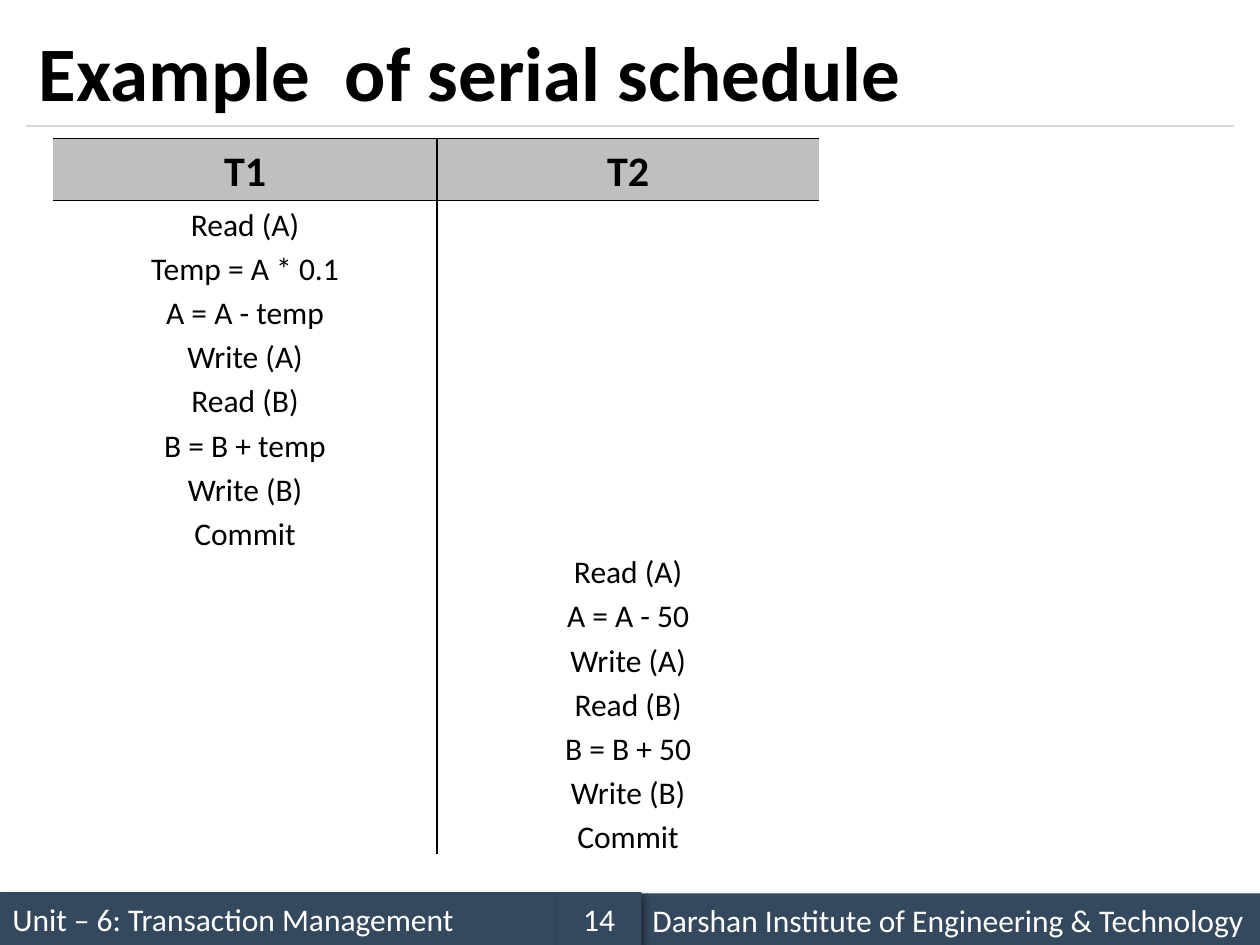
from pptx import Presentation
from pptx.util import Inches, Pt
from pptx.dml.color import RGBColor
from pptx.enum.shapes import MSO_CONNECTOR, MSO_SHAPE
from pptx.enum.text import MSO_ANCHOR, PP_ALIGN
from pptx.oxml import parse_xml
from pptx.oxml.ns import nsdecls

THEME = {
    "font": "Calibri", "ink": "000000", "pale": "FFFFFF", "bar": "34495E",
    "head": "BFBFBF", "rule": "D9D9D9",
    "title": 44, "label": 24, "body": 18,
}
TITLE = "Example  of serial schedule"
FOOT = [
    ("Unit – 6: Transaction Management", 0, 7.08, 4.42, PP_ALIGN.LEFT),
    ("Darshan Institute of Engineering & Technology", 5.08, 7.09, 4.92, PP_ALIGN.LEFT),
    ("14", 4.42, 7.08, 0.67, PP_ALIGN.CENTER),
]
FIRST = ["Read (A)", "Temp = A * 0.1", "A = A - temp", "Write (A)",
         "Read (B)", "B = B + temp", "Write (B)", "Commit"]
SECOND = ["Read (A)", "A = A - 50", "Write (A)", "Read (B)",
          "B = B + 50", "Write (B)", "Commit"]
GRID = [[["T1"], ["T2"]], [FIRST, []], [[], SECOND]]
EDGES = [["RTB", "LTB"], ["TR", "LT"], ["R", "L"]]
COLS = [3.05, 3.03]
ROWS = [0.49, 2.42, 2.43]


def tint(name):
    return RGBColor.from_string(THEME[name])


def style(para, size, ink, align=PP_ALIGN.LEFT, bold=False):
    para.alignment = align
    for run in para.runs:
        font = run.font
        font.name, font.size, font.bold = THEME["font"], Pt(THEME[size]), bold
        font.color.rgb = tint(ink)


def shade(shape):
    shape.shadow.inherit = False
    fx = shape._element.spPr.find("{*}effectLst")
    fx.append(parse_xml(
        f'<a:outerShdw {nsdecls("a")} blurRad="{Pt(4)}" dist="{Pt(3)}" dir="2700000" '
        'algn="tl" rotWithShape="0"><a:srgbClr val="000000">'
        '<a:alpha val="40000"/></a:srgbClr></a:outerShdw>'))


def add_bar(slide, text, x, y, w, align):
    bar = slide.shapes.add_shape(
        MSO_SHAPE.RECTANGLE, Inches(x), Inches(y), Inches(w), Inches(0.42))
    bar.fill.solid()
    bar.fill.fore_color.rgb = tint("bar")
    bar.line.fill.background()
    shade(bar)
    frame = bar.text_frame
    frame.text = text
    frame.vertical_anchor = MSO_ANCHOR.MIDDLE
    style(frame.paragraphs[0], "body", "pale", align)


def add_rule(slide):
    rule = slide.shapes.add_connector(
        MSO_CONNECTOR.STRAIGHT, Inches(0.21), Inches(1), Inches(9.79), Inches(1))
    rule.line.color.rgb = tint("rule")
    rule.line.width = Pt(0.75)
    rule._element.spPr.append(parse_xml(f'<a:effectLst {nsdecls("a")}/>'))


def add_title(slide):
    box = slide.shapes.add_textbox(Inches(0.21), Inches(0.12), Inches(9.58), Inches(0.88))
    frame = box.text_frame
    frame.word_wrap = True
    frame.vertical_anchor = MSO_ANCHOR.MIDDLE
    frame.text = TITLE
    style(frame.paragraphs[0], "title", "ink", bold=True)


def set_edges(cell, sides):
    props = cell._tc.get_or_add_tcPr()
    solid = f'<a:solidFill><a:srgbClr val="{THEME["ink"]}"/></a:solidFill>'
    for side in "LRTB":
        paint = solid if side in sides else "<a:noFill/>"
        props.append(parse_xml(
            f'<a:ln{side} {nsdecls("a")} w="{Pt(1)}">{paint}</a:ln{side}>'))


def fill_cell(cell, lines, sides, head):
    set_edges(cell, sides)
    if head:
        cell.fill.solid()
        cell.fill.fore_color.rgb = tint("head")
    else:
        cell.fill.background()
    cell.margin_left = cell.margin_right = Inches(0.07)
    cell.margin_top = cell.margin_bottom = 0
    cell.text_frame.text = "\n".join(lines)
    for para in cell.text_frame.paragraphs:
        para.line_spacing = 1.15
        style(para, "label" if head else "body", "ink", PP_ALIGN.CENTER, head)


def add_grid(slide):
    table = slide.shapes.add_table(
        len(ROWS), len(COLS), Inches(0.42), Inches(1.1),
        Inches(sum(COLS)), Inches(sum(ROWS))).table
    table.first_row = table.horz_banding = False
    for col, w in zip(table.columns, COLS):
        col.width = Inches(w)
    for r, h in enumerate(ROWS):
        table.rows[r].height = Inches(h)
        for c, lines in enumerate(GRID[r]):
            fill_cell(table.cell(r, c), lines, EDGES[r][c], r == 0)


def main():
    deck = Presentation()
    deck.slide_width, deck.slide_height = Inches(10), Inches(7.5)
    slide = deck.slides.add_slide(deck.slide_layouts[6])
    for item in FOOT:
        add_bar(slide, *item)
    add_rule(slide)
    add_title(slide)
    add_grid(slide)
    deck.save("out.pptx")


if __name__ == "__main__":
    main()
